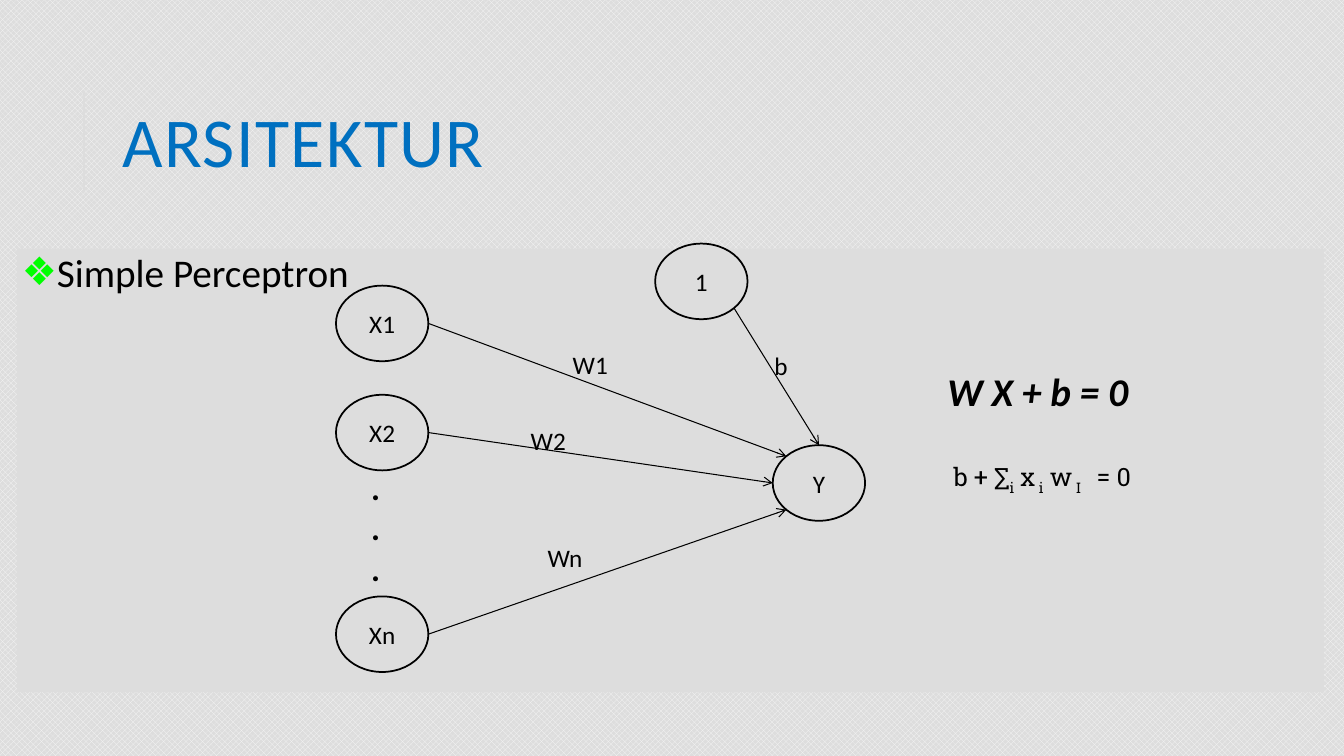
import math

from lxml import etree
from pptx import Presentation
from pptx import util as u
from pptx.dml.color import RGBColor
from pptx.enum import dml, shapes, text
from pptx.oxml import ns

COLUMNS, ROWS = 160, 90
CELL = u.Inches(1 / 12)
NODE_WIDTH, NODE_HEIGHT = 11, 9

BLACK = RGBColor(0x00, 0x00, 0x00)
BLUE = RGBColor(0x00, 0x70, 0xC0)
GRAY = RGBColor(0xDD, 0xDD, 0xDD)
LIGHT = RGBColor(0xF8, 0xF8, 0xF8)
GREEN = RGBColor(0x00, 0xFF, 0x00)

NODES = {"X1": (40, 34), "X2": (40, 47), "Xn": (40, 71), "Y": (92, 53), "1": (78, 29)}
EDGES = [("X1", 0, "Y", 225), ("X2", 0, "Y", 180), ("Xn", 0, "Y", 135), ("1", 45, "Y", 270)]
WEIGHTS = {"b": (91, 41.1), "W1": (67, 41), "W2": (62, 50), "Wn": (64, 64)}
FORMULA = [(" b + ∑", False), ("i", True), (" x", False), (" i", True),
           (" w", False), (" I", True), ("\t= 0", False)]


def grid(*values):
    return [round(value * CELL) for value in values]


def child(parent, tag, **attributes):
    return etree.SubElement(parent, ns.qn(tag), attributes)


def add_run(paragraph, content, size=18, color=BLACK, name="Calibri",
            bold=False, italic=False, subscript=False, spacing=0):
    run = paragraph.add_run()
    run.text = content
    font = run.font
    font.size, font.name, font.bold, font.italic = u.Pt(size), name, bold, italic
    font.color.rgb = color
    properties = run._r.get_or_add_rPr()
    if subscript:
        properties.set("baseline", "-25000")
    if spacing:
        properties.set("spc", str(spacing * 100))


def add_label(slide, content, box, **text_format):
    label = slide.shapes.add_textbox(*grid(*box))
    frame = label.text_frame
    frame.word_wrap = True
    for index, line in enumerate(content.split("\n")):
        paragraph = frame.add_paragraph() if index else frame.paragraphs[0]
        add_run(paragraph, line, **text_format)
    return frame


def add_panel(slide, kind, box):
    panel = slide.shapes.add_shape(kind, *grid(*box))
    panel.shadow.inherit = False
    panel.fill.solid()
    panel.fill.fore_color.rgb = GRAY
    panel.line.fill.background()
    return panel


def add_node(slide, name):
    node = add_panel(slide, shapes.MSO_SHAPE.OVAL, (*NODES[name], NODE_WIDTH, NODE_HEIGHT))
    node.line.color.rgb = BLACK
    node.line.width = u.Pt(1.25)
    frame = node.text_frame
    frame.vertical_anchor = text.MSO_ANCHOR.MIDDLE
    paragraph = frame.paragraphs[0]
    paragraph.alignment = text.PP_ALIGN.CENTER
    add_run(paragraph, name)


def rim_point(name, angle):
    left, top = NODES[name]
    radians = math.radians(angle)
    return (left + NODE_WIDTH / 2 * (1 + math.cos(radians)),
            top + NODE_HEIGHT / 2 * (1 + math.sin(radians)))


def add_line(slide, start, end, color=BLACK, width=0.75, arrow=True):
    line = slide.shapes.add_connector(shapes.MSO_CONNECTOR.STRAIGHT, *grid(*start, *end))
    line.line.color.rgb = color
    line.line.width = u.Pt(width)
    if arrow:
        child(line.line._get_or_add_ln(), "a:tailEnd", type="arrow")
    child(line._element.spPr, "a:effectLst")


def set_title(slide, content):
    title = slide.shapes.title
    title.left, title.top, title.width, title.height = grid(13.4, 7.7, 127.6, 19.7)
    frame = title.text_frame
    frame.auto_size = text.MSO_AUTO_SIZE.NONE
    frame.vertical_anchor = text.MSO_ANCHOR.MIDDLE
    paragraph = frame.paragraphs[0]
    paragraph.alignment = text.PP_ALIGN.LEFT
    paragraph.line_spacing = 0.8
    add_run(paragraph, content, size=50, color=BLUE, spacing=1)


def add_topic(slide, content):
    panel = add_panel(slide, shapes.MSO_SHAPE.RECTANGLE, (2, 29.6, 155.6, 52.8))
    frame = panel.text_frame
    frame.vertical_anchor = text.MSO_ANCHOR.TOP
    frame.margin_left = frame.margin_right = u.Inches(0.05)
    frame.margin_top = frame.margin_bottom = u.Inches(0.05)
    paragraph = frame.paragraphs[0]
    paragraph.alignment = text.PP_ALIGN.LEFT
    paragraph.line_spacing = 0.9
    properties = paragraph._p.get_or_add_pPr()
    properties.set("marL", str(u.Inches(0.1)))
    properties.set("indent", str(-u.Inches(0.1)))
    child(child(properties, "a:buClr"), "a:srgbClr", val=str(GREEN))
    child(properties, "a:buFont", typeface="Calibri")
    child(properties, "a:buChar", char="❖")
    add_run(paragraph, content, size=28)


def add_equations(slide):
    frame = add_label(slide, "W X + b = 0", (111.6, 43.1, 35.4, 16.6),
                      size=28, bold=True, italic=True)
    paragraph = frame.add_paragraph()
    paragraph.space_before = u.Pt(34)
    tabs = child(paragraph._p.get_or_add_pPr(), "a:tabLst")
    child(tabs, "a:tab", pos=str(u.Inches(1.48)), algn="l")
    for content, subscript in FORMULA:
        add_run(paragraph, content, name="Roboto Slab", subscript=subscript)


def main():
    presentation = Presentation()
    presentation.slide_width, presentation.slide_height = grid(COLUMNS, ROWS)
    slide = presentation.slides.add_slide(presentation.slide_layouts[5])
    background = slide.background.fill
    background.patterned()
    background.pattern = dml.MSO_PATTERN.SOLID_DIAMOND
    background.fore_color.rgb = LIGHT
    background.back_color.rgb = GRAY

    add_line(slide, (10, 22.8), (10, 10.8), color=GRAY, width=1.5, arrow=False)
    set_title(slide, "ARSITEKTUR")
    add_topic(slide, "Simple Perceptron")
    for name in NODES:
        add_node(slide, name)
    for source, source_angle, target, target_angle in EDGES:
        add_line(slide, rim_point(source, source_angle), rim_point(target, target_angle))
    add_label(slide, ".\n.\n.", (43, 55, 9.7, 15.7), size=24, bold=True)
    for weight, place in WEIGHTS.items():
        add_label(slide, weight, (*place, 8.5, 4.8))
    add_equations(slide)
    presentation.save("out.pptx")


if __name__ == "__main__":
    main()
